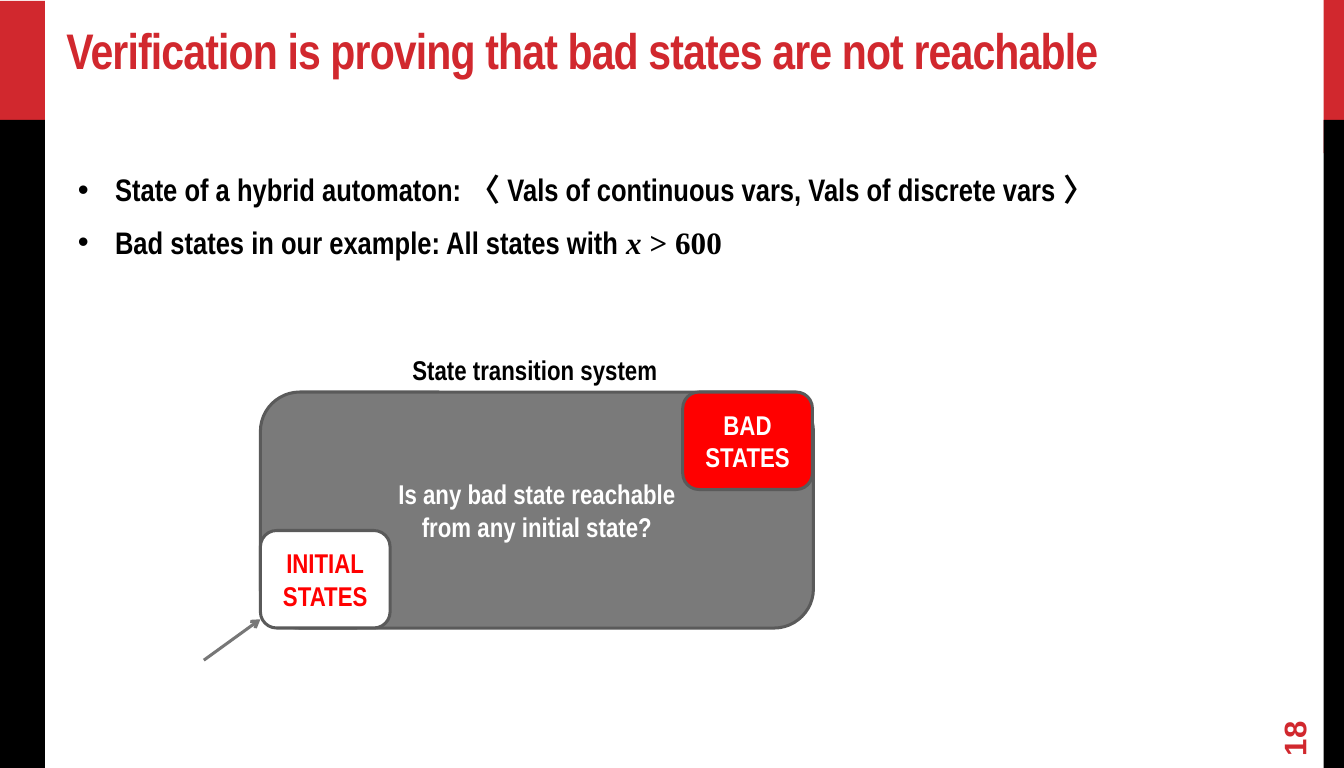
from lxml.etree import SubElement
from pptx import Presentation
from pptx.dml.color import RGBColor
from pptx.enum.shapes import MSO_CONNECTOR, MSO_SHAPE
from pptx.enum.text import MSO_ANCHOR, PP_ALIGN
from pptx.oxml.ns import qn
from pptx.util import Inches, Pt

RED = RGBColor(0xD1, 0x28, 0x2E)
BRIGHT_RED = RGBColor(0xFF, 0x00, 0x00)
BLACK = RGBColor(0x00, 0x00, 0x00)
WHITE = RGBColor(0xFF, 0xFF, 0xFF)
GRAY = RGBColor(0x7A, 0x7A, 0x7A)
OUTLINE = RGBColor(0x5A, 0x5A, 0x5A)
ARROW_GRAY = RGBColor(0x77, 0x77, 0x77)


class SlideBuilder:
    heading_font = "Arial Narrow"
    math_font = "Times New Roman"
    line_width = Pt(2.25)

    def __init__(self, slide):
        self.slide = slide

    def style(self, font, size, color, name=None):
        font.name = name or self.heading_font
        font.size = Pt(size)
        font.bold = True
        font.color.rgb = color

    def bar(self, left, top, width, height, color):
        shape = self.slide.shapes.add_shape(
            MSO_SHAPE.RECTANGLE, Inches(left), Inches(top), Inches(width), Inches(height))
        shape.shadow.inherit = False
        shape.fill.solid()
        shape.fill.fore_color.rgb = color
        shape.line.fill.background()

    def state_box(self, left, top, width, height, lines, fill, color):
        shape = self.slide.shapes.add_shape(
            MSO_SHAPE.ROUNDED_RECTANGLE,
            Inches(left), Inches(top), Inches(width), Inches(height))
        shape.shadow.inherit = False
        shape.fill.solid()
        shape.fill.fore_color.rgb = fill
        shape.line.color.rgb = OUTLINE
        shape.line.width = self.line_width
        text_frame = shape.text_frame
        text_frame.vertical_anchor = MSO_ANCHOR.MIDDLE
        text_frame.text = "\n".join(lines)
        for paragraph in text_frame.paragraphs:
            paragraph.alignment = PP_ALIGN.CENTER
            self.style(paragraph.runs[0].font, 20, color)

    def text_box(self, left, top, width, height, text, size, color,
                 name=None, margins=(0.11, 0.06), anchor=MSO_ANCHOR.TOP, wrap=True):
        box = self.slide.shapes.add_textbox(
            Inches(left), Inches(top), Inches(width), Inches(height))
        text_frame = box.text_frame
        text_frame.word_wrap = wrap
        text_frame.vertical_anchor = anchor
        text_frame.margin_left = text_frame.margin_right = Inches(margins[0])
        text_frame.margin_top = text_frame.margin_bottom = Inches(margins[1])
        text_frame.text = text
        for paragraph in text_frame.paragraphs:
            self.style(paragraph.runs[0].font, size, color, name)
        return box

    def bullets(self, box):
        for index, paragraph in enumerate(box.text_frame.paragraphs):
            properties = paragraph._p.get_or_add_pPr()
            properties.set("marL", str(Inches(0.38)))
            properties.set("indent", str(-Inches(0.38)))
            SubElement(properties, qn("a:buFont")).set("typeface", "Arial")
            SubElement(properties, qn("a:buChar")).set("char", "•")
            paragraph.space_after = Pt(6.8)
            if index:
                paragraph.space_before = Pt(4.6)

    def math_run(self, paragraph, text, size, italic):
        run = paragraph.add_run()
        run.text = text
        self.style(run.font, size, BLACK, self.math_font)
        run.font.italic = italic

    def arrow(self, start, end):
        connector = self.slide.shapes.add_connector(
            MSO_CONNECTOR.STRAIGHT, *(Inches(value) for value in start + end))
        connector.line.color.rgb = ARROW_GRAY
        connector.line.width = self.line_width
        SubElement(connector.line._get_or_add_ln(), qn("a:tailEnd")).set("type", "arrow")
        SubElement(connector._element.spPr, qn("a:effectLst"))


def main():
    # Page of 35 cm by 7 7/8 inches
    presentation = Presentation()
    presentation.slide_width = Inches(35 / 2.54)
    presentation.slide_height = Inches(63 / 8)
    slide = presentation.slides.add_slide(presentation.slide_layouts[6])
    builder = SlideBuilder(slide)

    # Side bars: red on top, black below
    for left, top, width in ((13.57, 0, 0.22), (0, 0.01, 0.46)):
        builder.bar(left, top, width, 1.57, RED)
        builder.bar(left, 1.23, width, 6.65, BLACK)

    # Title
    title = builder.text_box(
        0.57, 0.18, 12.86, 0.7, "Verification is proving that bad states are not reachable",
        36.9, RED, anchor=MSO_ANCHOR.BOTTOM)
    title.text_frame.paragraphs[0].runs[0]._r.get_or_add_rPr().set("spc", "-65")

    # Bullets
    body = builder.text_box(
        0.69, 1.69, 12.63, 1.33,
        "State of a hybrid automaton: 〈 Vals of continuous vars, Vals of discrete vars 〉\n"
        "Bad states in our example: All states with ", 23, BLACK)
    builder.bullets(body)
    bad_states = body.text_frame.paragraphs[1]
    builder.math_run(bad_states, "x ", 23, True)
    builder.math_run(bad_states, "> 600", 23, False)

    # State transition system
    builder.state_box(2.67, 4.02, 5.67, 2.42,
                      ("Is any bad state reachable", "from any initial state?"), GRAY, WHITE)
    builder.state_box(2.67, 5.44, 1.33, 1, ("INITIAL", "STATES"), WHITE, BRIGHT_RED)
    builder.state_box(7, 4.02, 1.33, 1, ("BAD", "STATES"), BRIGHT_RED, WHITE)
    builder.arrow((2.09, 6.77), (2.67, 6.35))
    builder.text_box(4.13, 3.58, 2.73, 0.44, "State transition system", 20, BLACK,
                     margins=(0.1, 0.05), wrap=False)

    # Slide number
    number = builder.text_box(12.86, 7.21, 0.81, 0.34, "18", 23, RED, name="Arial",
                              margins=(0.03, 0), anchor=MSO_ANCHOR.MIDDLE)
    number.rotation = 270

    presentation.save("out.pptx")


if __name__ == "__main__":
    main()
